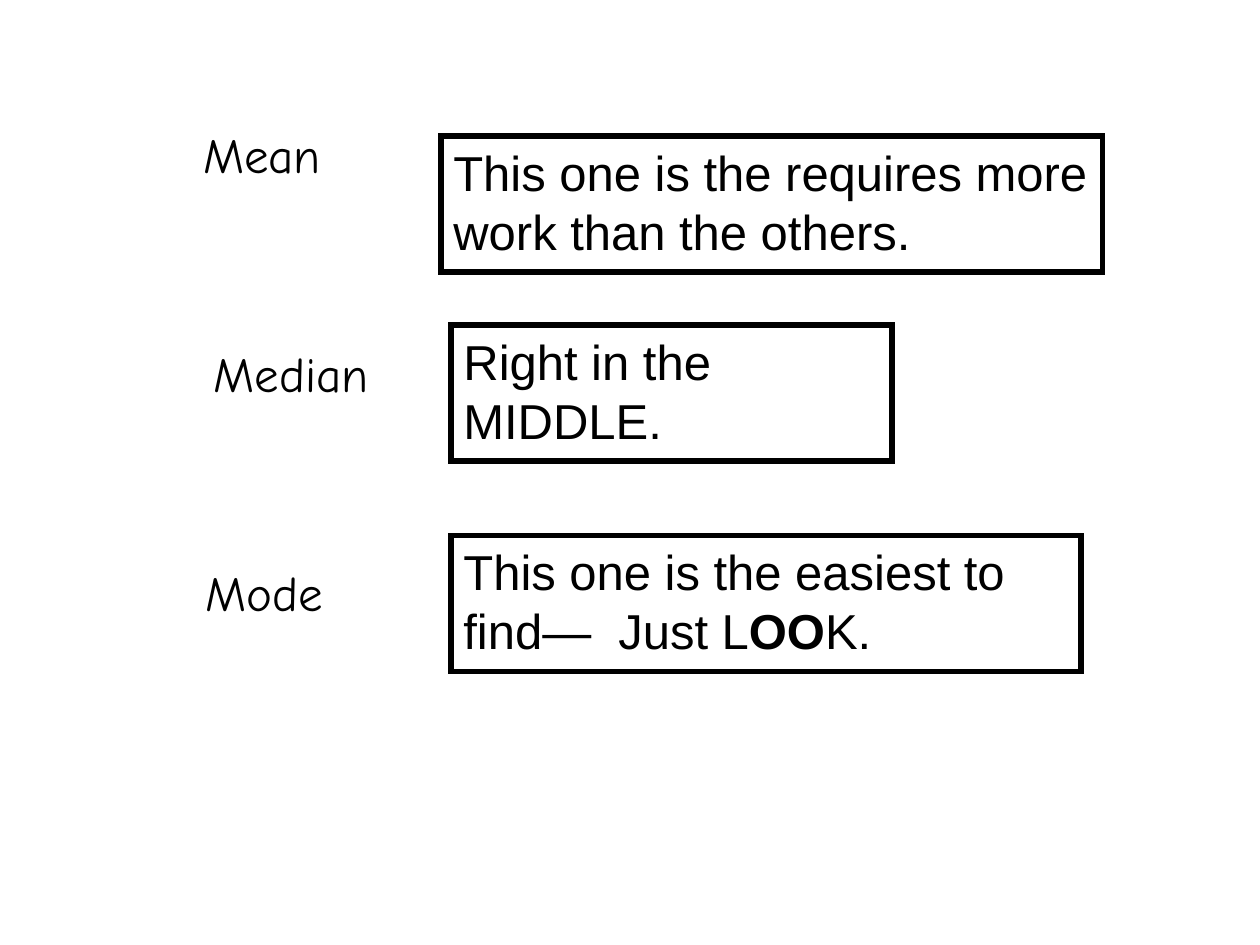
"""Build a slide that pairs mean, median and mode with a short clue for each."""
from dataclasses import dataclass

import lxml.etree
import pptx
import pptx.dml.color
import pptx.enum.shapes
import pptx.enum.text
import pptx.oxml.ns
import pptx.util
from pptx.util import Inches

COLORS = {"ink": "000000"}
LABEL_FONT = {"name": "Comic Neue", "size": pptx.util.Pt(28)}
CLUE_FONT = {"name": "Arial", "size": pptx.util.Pt(28)}
LABEL_FRAME = {"word_wrap": False, "margin_left": 0, "margin_right": 0,
               "vertical_anchor": pptx.enum.text.MSO_ANCHOR.MIDDLE}
CLUE_FRAME = {"word_wrap": True, "vertical_anchor": pptx.enum.text.MSO_ANCHOR.TOP}
CENTER = pptx.enum.text.PP_ALIGN.CENTER
LEFT = pptx.enum.text.PP_ALIGN.LEFT


@dataclass
class TextBlock:
    left: float
    top: float
    width: float
    height: float
    runs: list[tuple[str, bool]]

    def bounds(self) -> list[int]:
        return [Inches(v) for v in (self.left, self.top, self.width, self.height)]


LABELS = [
    TextBlock(1.58, 0.94, 1, 0.56, [("Mean", False)]),
    TextBlock(1.62, 2.68, 1.38, 0.56, [("Median", False)]),
    TextBlock(1.61, 4.42, 0.97, 0.56, [("Mode", False)]),
]
CLUES = [
    TextBlock(3.5, 1.08, 5.25, 1.08,
              [("This one is the requires more work than the others.", False)]),
    TextBlock(3.58, 2.58, 3.5, 1.08, [("Right in the MIDDLE.", False)]),
    TextBlock(3.58, 4.25, 5, 1.08,
              [("This one is the easiest to find—  Just L", False), ("OO", True), ("K.", False)]),
]


def set_attributes(target: object, values: dict) -> None:
    for name, value in values.items():
        setattr(target, name, value)


def ink() -> pptx.dml.color.RGBColor:
    return pptx.dml.color.RGBColor.from_string(COLORS["ink"])


def write_text(shape, block: TextBlock, frame: dict, font: dict, alignment) -> None:
    set_attributes(shape.text_frame, frame)
    paragraph = shape.text_frame.paragraphs[0]
    paragraph.alignment = alignment
    for text, bold in block.runs:
        run = paragraph.add_run()
        run.text = text
        set_attributes(run.font, {**font, "bold": bold})
        run.font.color.rgb = ink()


def add_label(slide, block: TextBlock) -> None:
    shape = slide.shapes.add_textbox(*block.bounds())
    write_text(shape, block, LABEL_FRAME, LABEL_FONT, CENTER)


def add_clue(slide, block: TextBlock) -> None:
    shape = slide.shapes.add_shape(pptx.enum.shapes.MSO_SHAPE.RECTANGLE, *block.bounds())
    shape.shadow.inherit = False
    shape.fill.background()
    shape.line.color.rgb = ink()
    shape.line.width = pptx.util.Pt(3)
    outline = shape.element.spPr.find(pptx.oxml.ns.qn("a:ln"))
    lxml.etree.SubElement(outline, pptx.oxml.ns.qn("a:miter"), lim="800000")
    write_text(shape, block, CLUE_FRAME, CLUE_FONT, LEFT)


def main() -> None:
    presentation = pptx.Presentation()
    set_attributes(presentation, {"slide_width": Inches(10), "slide_height": Inches(7.5)})
    slide = presentation.slides.add_slide(presentation.slide_layouts[6])
    for label in LABELS:
        add_label(slide, label)
    for clue in CLUES:
        add_clue(slide, clue)
    presentation.save("out.pptx")


if __name__ == "__main__":
    main()
